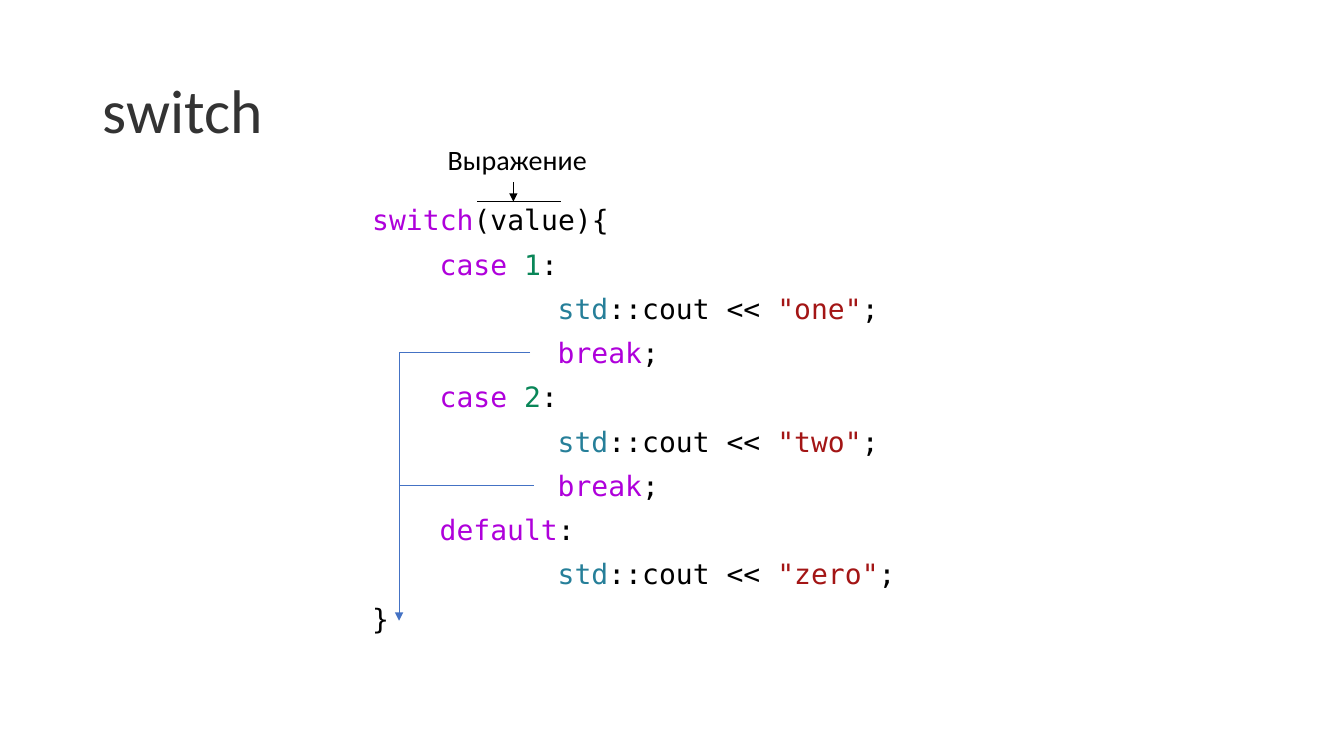
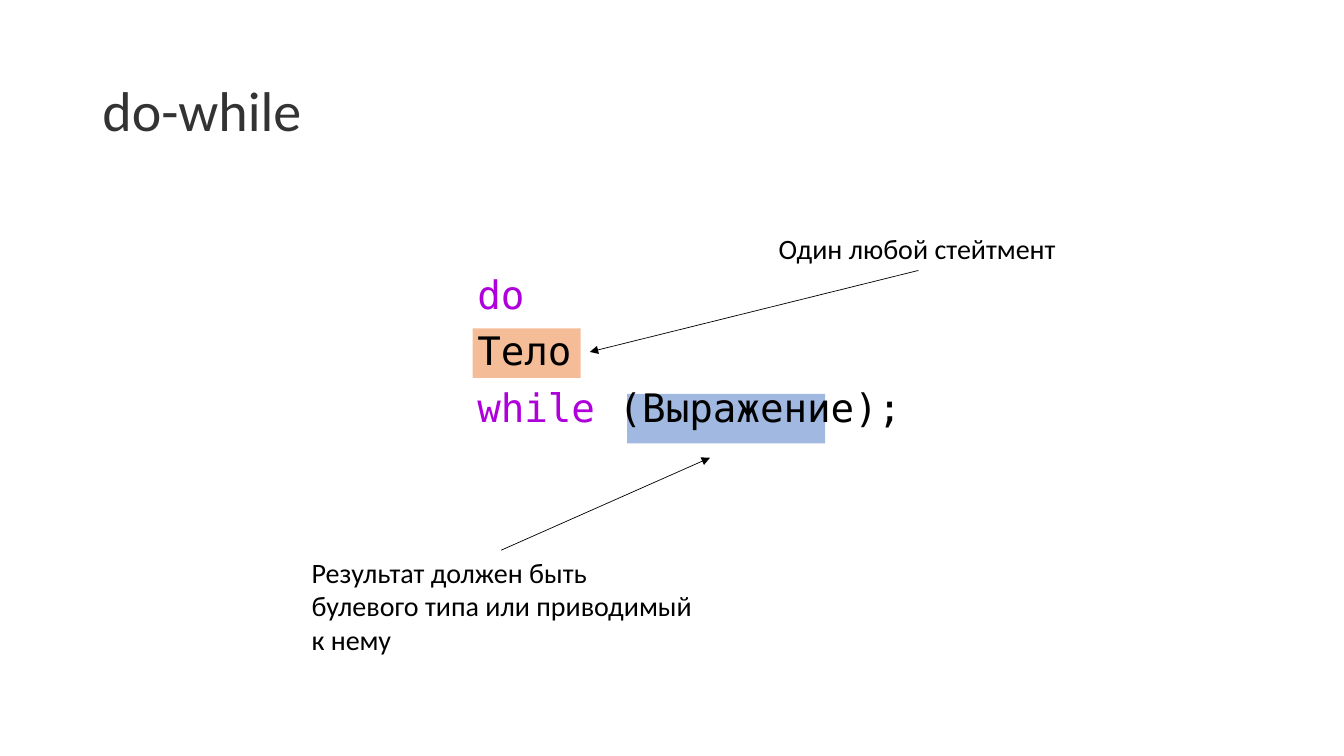
from lxml import etree
from pptx import Presentation
from pptx.dml.color import RGBColor
from pptx.enum.shapes import MSO_CONNECTOR, MSO_SHAPE
from pptx.enum.text import MSO_ANCHOR, MSO_AUTO_SIZE, PP_ALIGN
from pptx.oxml.ns import qn
from pptx.util import Inches, Pt

STRAIGHT, ELBOW = MSO_CONNECTOR.STRAIGHT, MSO_CONNECTOR.ELBOW
RECT = MSO_SHAPE.RECTANGLE
MIDDLE, TOP = MSO_ANCHOR.MIDDLE, MSO_ANCHOR.TOP
FIT, FIXED = MSO_AUTO_SIZE.SHAPE_TO_FIT_TEXT, MSO_AUTO_SIZE.NONE
LEFT = PP_ALIGN.LEFT

# Shared style
SANS, MONO = "Calibri", "DejaVu Sans Mono"
BLACK, GREY, BLUE, ORANGE = "000000", "333333", "4472C4", "ED7D31"
KEYWORD, NUMBER, NAMESPACE, STRING = "AF00DB", "098658", "267F99", "A31515"
LINE_WIDTH = 0.5
CHAR_WIDTH = 0.602  # share of the font size, monospaced
TITLE_BOX = (11, 4.8, 138, 17.4)
CODE_PARAGRAPH = {"line_spacing": 0.9, "space_before": Pt(10), "alignment": LEFT}
TITLE_PARAGRAPH = {"line_spacing": 0.9, "alignment": LEFT}

# Slide grid: 160 columns by 90 rows of square cells
COLS, ROWS = 160, 90
WIDTH, HEIGHT = Inches(13.33), Inches(7.5)


def rgb(value):
    return RGBColor.from_string(value)


def grid(*lengths):
    return [round(n * HEIGHT / ROWS) for n in lengths]


def apply(target, values):
    for name, value in values.items():
        setattr(target, name, value)


class Deck:
    def __init__(self):
        self.prs = Presentation()
        apply(self.prs, {"slide_width": WIDTH, "slide_height": HEIGHT})
        self.s = None

    def place(self, sp, box):
        apply(sp, dict(zip(("left", "top", "width", "height"), grid(*box))))

    def run(self, p, text, size, font, color):
        r = p.add_run()
        r.text = text
        apply(r.font, {"size": Pt(size), "name": font})
        r.font.color.rgb = rgb(color)

    def slide(self, title, size):
        self.s = self.prs.slides.add_slide(self.prs.slide_layouts[1])
        sp = self.s.shapes.title
        self.place(sp, TITLE_BOX)
        tf = sp.text_frame
        apply(tf, {"vertical_anchor": MIDDLE, "auto_size": FIXED})
        apply(tf.paragraphs[0], TITLE_PARAGRAPH)
        self.run(tf.paragraphs[0], title, size, SANS, GREY)

    def code(self, box, size, lines):
        """Each line is an indent in characters and its coloured tokens."""
        sp = self.s.placeholders[1]
        self.place(sp, box)
        tf = sp.text_frame
        apply(tf, {"vertical_anchor": TOP, "auto_size": FIXED, "word_wrap": True})
        for i, (indent, *tokens) in enumerate(lines):
            p = tf.add_paragraph() if i else tf.paragraphs[0]
            apply(p, CODE_PARAGRAPH)
            pPr = p._p.get_or_add_pPr()
            pPr.set("marL", str(Pt(indent * CHAR_WIDTH * size)))
            pPr.set("indent", "0")
            etree.SubElement(pPr, qn("a:buNone"))
            for text, color in tokens:
                self.run(p, text, size, MONO, color)

    def label(self, box, *texts, wrap=False):
        tf = self.s.shapes.add_textbox(*grid(*box)).text_frame
        apply(tf, {"word_wrap": wrap, "auto_size": FIT})
        for i, text in enumerate(texts):
            p = tf.add_paragraph() if i else tf.paragraphs[0]
            self.run(p, text, 20, SANS, BLACK)

    def highlight(self, box, color):
        """A half transparent block behind the text."""
        sp = self.s.shapes.add_shape(RECT, *grid(*box))
        sp.shadow.inherit = False
        sp.fill.solid()
        sp.fill.fore_color.rgb = rgb(color)
        sp.line.fill.background()
        fill = sp.element.spPr.find(qn("a:solidFill"))
        etree.SubElement(fill[0], qn("a:alpha"), val="50000")
        self.s.shapes.title.element.addprevious(sp.element)

    def line(self, start, end, color=BLACK, arrow=False, kind=STRAIGHT):
        sp = self.s.shapes.add_connector(kind, *grid(*start, *end))
        sp.line.width = Pt(LINE_WIDTH)
        sp.line.color.rgb = rgb(color)
        if arrow:
            ln = sp.line._get_or_add_ln()
            etree.SubElement(ln, qn("a:tailEnd"), type="triangle")
        etree.SubElement(sp.element.spPr, qn("a:effectLst"))
        return sp

    def corner_arrow(self, start, end, color):
        """Runs left from start, then down to end: an elbow turned by 90°."""
        (x1, y1), (x2, y2) = start, end
        cx, cy = (x1 + x2) / 2, (y1 + y2) / 2
        half_w, half_h = (y2 - y1) / 2, (x1 - x2) / 2
        sp = self.line((cx - half_w, cy - half_h), (cx + half_w, cy + half_h),
                       color, True, ELBOW)
        spPr = sp.element.spPr
        spPr.find(qn("a:xfrm")).set("rot", str(90 * 60000))
        guides = spPr.find(qn("a:prstGeom")).find(qn("a:avLst"))
        etree.SubElement(guides, qn("a:gd"), name="adj1", fmla="val 0")


def output_line(word):
    return (11, ("std", NAMESPACE), ("::cout << ", BLACK),
            (f'"{word}"', STRING), (";", BLACK))


def case_lines(number, word):
    return [(4, ("case ", KEYWORD), (number, NUMBER), (":", BLACK)),
            output_line(word),
            (11, ("break", KEYWORD), (";", BLACK))]


def switch_slide(deck):
    deck.slide("switch", 44)
    deck.code((43.1, 24, 106, 57.1), 20, [
        (0, ("switch", KEYWORD), ("(value){", BLACK)),
        *case_lines("1", "one"),
        *case_lines("2", "two"),
        (4, ("default", KEYWORD), (":", BLACK)),
        output_line("zero"),
        (0, ("}", BLACK)),
    ])
    # Expression callout
    deck.label((52.1, 16.4, 19.2, 5.3), "Выражение")
    deck.line((61.1, 21.7), (61.1, 24), arrow=True)
    deck.line((56.8, 24), (66.8, 24))
    # Jumps from each break to the closing brace
    deck.corner_arrow((63.1, 42), (47.5, 73.9), BLUE)
    deck.line((63.5, 57.8), (47.5, 57.8), BLUE)


def do_while_slide(deck):
    deck.slide("do-while", 40)
    deck.highlight((56.25, 39.1, 12.85, 5.9), ORANGE)
    deck.highlight((74.65, 46.9, 23.55, 5.9), BLUE)
    deck.code((55.6, 32.2, 104, 53.6), 28, [
        (0, ("do", KEYWORD)),
        (0, ("Тело", BLACK)),
        (0, ("while", KEYWORD), (" (Выражение);", BLACK)),
    ])
    # Body callout
    deck.label((91.5, 27, 35.6, 5.3), "Один любой стейтмент")
    deck.line((109.3, 32.2), (70.2, 41.9), arrow=True)
    # Condition callout
    deck.label((35.9, 65.5, 47.8, 13.3), "Результат должен быть",
               "булевого типа или приводимый к нему", wrap=True)
    deck.line((59.65, 65.5), (84.5, 54.5), arrow=True)


def main():
    deck = Deck()
    switch_slide(deck)
    do_while_slide(deck)
    deck.prs.save("out.pptx")


if __name__ == "__main__":
    main()
